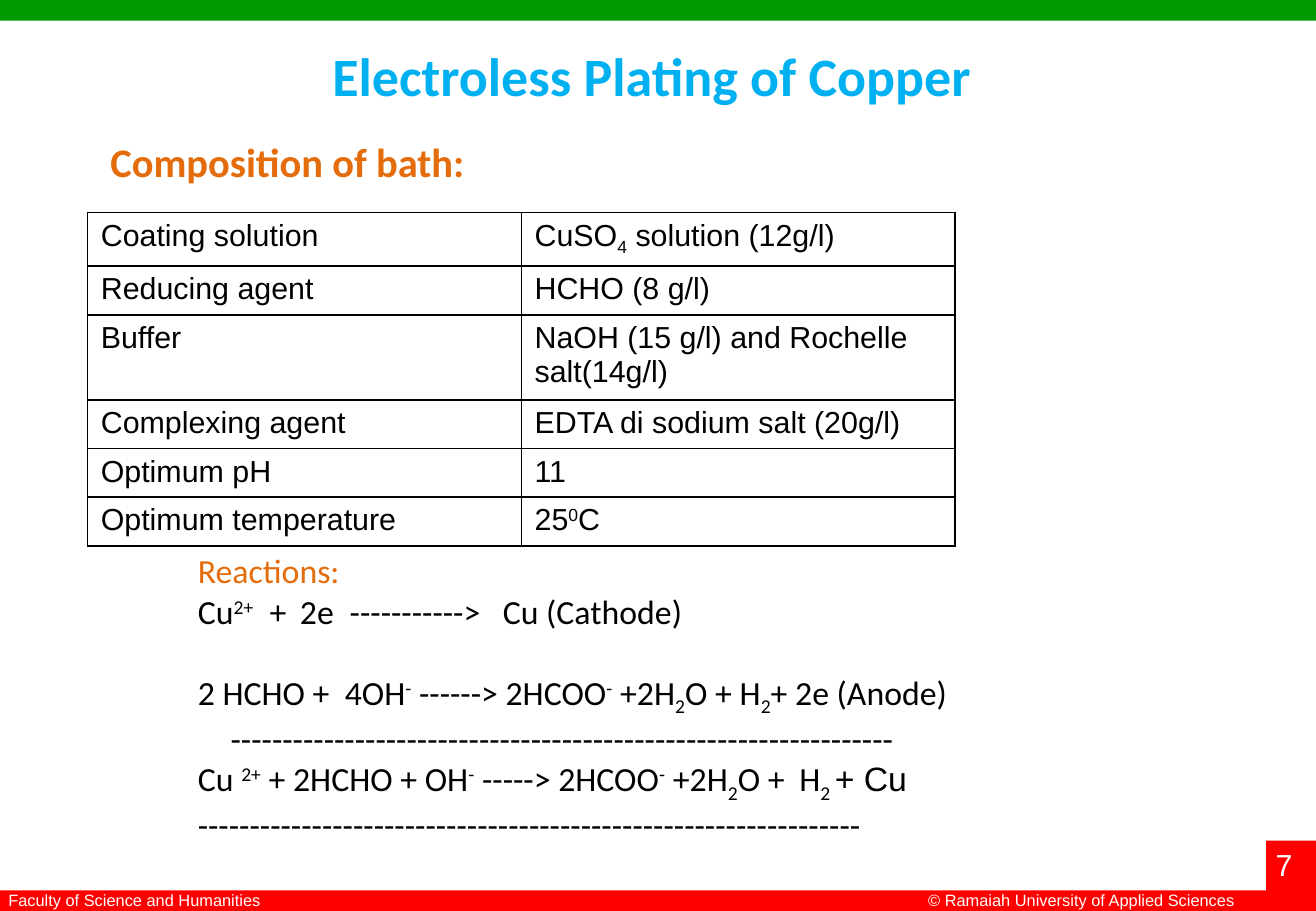
"""Build the slide on electroless plating of copper."""
import pptx
import pptx.util
import pptx.oxml
import pptx.oxml.ns
import pptx.dml.color
import pptx.enum.shapes
import pptx.enum.text
from dataclasses import dataclass

Inches = pptx.util.Inches
Pt = pptx.util.Pt


@dataclass(frozen=True)
class Theme:
    """Hold the colours, fonts and type sizes."""
    green: str = "009900"
    red: str = "FF0000"
    blue: str = "00B0F0"
    orange: str = "E46C0A"
    black: str = "000000"
    white: str = "FFFFFF"
    sans: str = "Arial"
    body: str = "Calibri"
    title: float = 32
    head: float = 24
    react: float = 20
    cell: float = 18
    foot: float = 9.7


THEME = Theme()
WIDE, HIGH = 10.83, 7.5
TITLE = "Electroless Plating of Copper "
HEAD = "Composition of bath:"
BARS = [
    ((0, 0, WIDE, 0.17), THEME.green),
    ((0, 7.33, WIDE, 0.17), THEME.red),
    ((10.42, 6.92, 0.41, 0.58), THEME.red),
]
NOTES = [
    ("© Ramaiah University of Applied Sciences", (7.54, 7.28, 2.85, 0.26), THEME.foot),
    ("7", (10.4, 6.92, 0.43, 0.4), THEME.cell),
    ("Faculty of Science and Humanities", (-0.03, 7.28, 3.19, 0.26), THEME.foot),
]
BATH = [
    ("Coating solution", "CuSO|_4| solution (12g/l)", 0.44),
    ("Reducing agent", "HCHO (8 g/l)", 0.4),
    ("Buffer", "NaOH (15 g/l) and Rochelle salt(14g/l)", 0.7),
    ("Complexing agent", "EDTA di sodium salt (20g/l)", 0.4),
    ("Optimum pH", "11", 0.4),
    ("Optimum temperature", "25|^0|C", 0.4),
]
RULE = "-" * 64
REACT = [
    {"text": "Reactions:", "tint": THEME.orange},
    {"text": "Cu|^2+|\t+\t2e\t----------->\tCu (Cathode)", "tabs": (0.59, 0.84, 1.25, 2.51)},
    {"text": "2 HCHO +\t4OH|^-| ------> 2HCOO|^-| +2H|_2|O + H|_2|+ 2e (Anode)",
     "tabs": (1.21,), "gap": 24},
    {"text": RULE, "indent": 0.27},
    {"text": "Cu |^2+| + 2HCHO + OH|^-| -----> 2HCOO|^-| +2H|_2|O +\tH|_2 |+ Cu",
     "tabs": (4.95,), "last": THEME.sans},
    {"text": RULE},
]
SHIFT = {"^": "30000", "_": "-25000"}


def rgb(tint):
    """Turn a hex string into a colour."""
    return pptx.dml.color.RGBColor.from_string(tint)


def node(parent, tag, **attrs):
    """Add a drawing element to its parent."""
    item = parent.makeelement(pptx.oxml.ns.qn(tag), attrs)
    parent.append(item)
    return item


def write(para, text, face, size, tint, bold=False):
    """Write marked text, with raised and lowered parts, as runs."""
    for part in text.split("|"):
        shift = SHIFT.get(part[:1])
        run = para.add_run()
        run.text = part[1:] if shift else part
        font = run.font
        font.name, font.size, font.bold = face, Pt(size), bold
        font.color.rgb = rgb(tint)
        if shift:
            run._r.get_or_add_rPr().set("baseline", shift)


def add_box(slide, area):
    """Add a wrapping text box and give its frame."""
    frame = slide.shapes.add_textbox(*map(Inches, area)).text_frame
    frame.word_wrap = True
    return frame


def add_bar(slide, area, tint):
    """Add a plain filled bar."""
    kind = pptx.enum.shapes.MSO_SHAPE.RECTANGLE
    bar = slide.shapes.add_shape(kind, *map(Inches, area))
    bar.shadow.inherit = False
    bar.fill.solid()
    bar.fill.fore_color.rgb = rgb(tint)
    bar.line.fill.background()


def add_bath(slide):
    """Add the table of bath contents."""
    high = sum(row[2] for row in BATH)
    area = map(Inches, (0.72, 1.75, 7.13, high))
    table = slide.shapes.add_table(len(BATH), 2, *area).table
    table.first_row = table.horz_banding = False
    for col in table.columns:
        col.width = Inches(3.57)
    for row, (name, value, tall) in zip(table.rows, BATH):
        row.height = Inches(tall)
        for cell, text in zip(row.cells, (name, value)):
            cell.margin_left = cell.margin_right = Inches(0.11)
            write(cell.text_frame.paragraphs[0], text, THEME.sans, THEME.cell, THEME.black)
            props = cell._tc.get_or_add_tcPr()
            for side in ("a:lnL", "a:lnR", "a:lnT", "a:lnB"):
                line = node(props, side, w=str(Pt(1)))
                node(node(line, "a:solidFill"), "a:srgbClr", val=THEME.black)
            cell.fill.background()


def add_react(slide):
    """Add the reactions with their tab stops and indents."""
    frame = add_box(slide, (1.53, 4.48, 6.56, 2.76))
    for index, item in enumerate(REACT):
        para = frame.add_paragraph() if index else frame.paragraphs[0]
        props = para._p.get_or_add_pPr()
        if "indent" in item:
            props.set("marL", str(Inches(item["indent"])))
        if "gap" in item:
            para.space_before = Pt(item["gap"])
        if "tabs" in item:
            stops = node(props, "a:tabLst")
            for stop in item["tabs"]:
                node(stops, "a:tab", pos=str(Inches(stop)), algn="l")
        write(para, item["text"], THEME.body, THEME.react, item.get("tint", THEME.black))
        if "last" in item:
            para.runs[-1].font.name = item["last"]


def main():
    """Build and save the slide."""
    deck = pptx.Presentation()
    deck.slide_width, deck.slide_height = Inches(WIDE), Inches(HIGH)
    slide = deck.slides.add_slide(deck.slide_layouts[5])
    for area, tint in BARS:
        add_bar(slide, area, tint)
    for text, area, size in NOTES:
        write(add_box(slide, area).paragraphs[0], text, THEME.sans, size, THEME.white)
    title = slide.shapes.title
    title.left, title.top, title.width, title.height = map(Inches, (0.54, 0.3, 9.75, 0.78))
    frame = title.text_frame
    frame.vertical_anchor = pptx.enum.text.MSO_ANCHOR.TOP
    frame.paragraphs[0].alignment = pptx.enum.text.PP_ALIGN.CENTER
    write(frame.paragraphs[0], TITLE, THEME.body, THEME.title, THEME.blue, True)
    head = add_box(slide, (0.81, 1.08, 3.3, 0.5))
    write(head.paragraphs[0], HEAD, THEME.body, THEME.head, THEME.orange, True)
    add_bath(slide)
    add_react(slide)
    deck.save("out.pptx")


if __name__ == "__main__":
    main()
